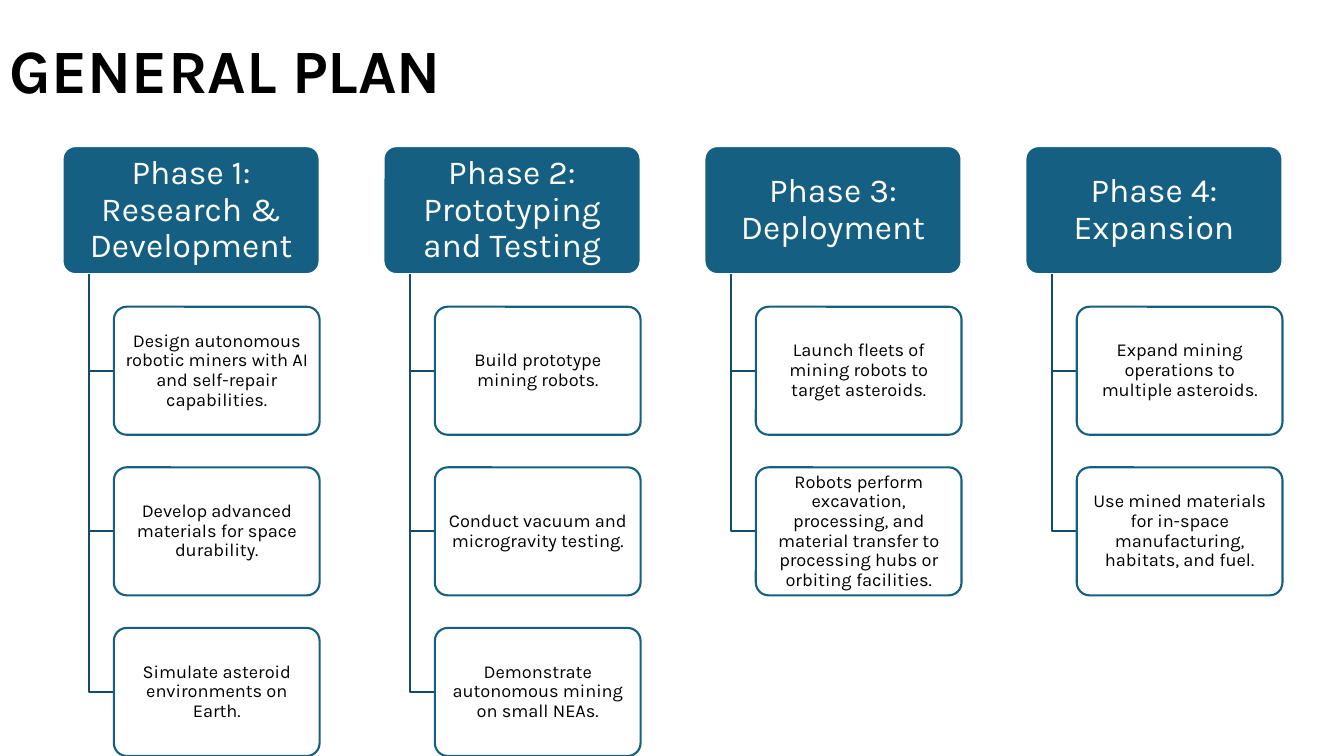
from dataclasses import dataclass

import pptx
import pptx.dml.color
import pptx.enum.shapes
import pptx.enum.text
import pptx.oxml
import pptx.oxml.ns
import pptx.util
from pptx.util import Inches


@dataclass(frozen=True)
class Theme:
    font: str = "Karla"
    title_size: float = 44
    phase_size: float = 24
    step_size: float = 13
    line_width: float = 1.5
    blue: str = "156082"
    dark_blue: str = "114D68"
    white: str = "FFFFFF"
    black: str = "000000"


@dataclass(frozen=True)
class Box:
    left: float
    top: float
    width: float
    height: float

    def lengths(self):
        return [Inches(value) for value in (self.left, self.top, self.width, self.height)]


THEME = Theme()
CARD_HEIGHT = 1.27
PHASE_WIDTH = 2.55
BRANCH_INDENT = 0.26
STEP_INDENT = 0.51

PHASES = [
    ("Phase 1: Research & Development", [
        "Design autonomous robotic miners with AI and self-repair capabilities.",
        "Develop advanced materials for space durability.",
        "Simulate asteroid environments on Earth.",
    ]),
    ("Phase 2: Prototyping and Testing", [
        "Build prototype mining robots.",
        "Conduct vacuum and microgravity testing.",
        "Demonstrate autonomous mining on small NEAs.",
    ]),
    ("Phase 3: Deployment", [
        "Launch fleets of mining robots to target asteroids.",
        "Robots perform excavation, processing, and material transfer to "
        "processing hubs or orbiting facilities.",
    ]),
    ("Phase 4: Expansion", [
        "Expand mining operations to multiple asteroids.",
        "Use mined materials for in-space manufacturing, habitats, and fuel.",
    ]),
]


def rgb(color):
    return pptx.dml.color.RGBColor.from_string(color)


def write_text(shape, text, size, color, alignment, insets, bold=False):
    frame = shape.text_frame
    frame.word_wrap = True
    frame.vertical_anchor = pptx.enum.text.MSO_ANCHOR.MIDDLE
    frame.margin_left = frame.margin_right = Inches(insets[0])
    frame.margin_top = frame.margin_bottom = Inches(insets[1])
    paragraph = frame.paragraphs[0]
    paragraph.alignment = alignment
    paragraph.line_spacing = 0.9
    run = paragraph.add_run()
    run.text = text
    run.font.name = THEME.font
    run.font.size = pptx.util.Pt(size)
    run.font.bold = bold
    run.font.color.rgb = rgb(color)


def set_line(shape, color):
    shape.shadow.inherit = False
    shape.line.color.rgb = rgb(color)
    shape.line.width = pptx.util.Pt(THEME.line_width)


def add_title(slide, box, text):
    shape = slide.shapes.add_textbox(*box.lengths())
    write_text(shape, text, THEME.title_size, THEME.black,
               pptx.enum.text.PP_ALIGN.LEFT, (0.1, 0.05), bold=True)


def add_card(slide, box, text, size, fill, line, text_color, insets):
    shape = slide.shapes.add_shape(
        pptx.enum.shapes.MSO_SHAPE.ROUNDED_RECTANGLE, *box.lengths())
    shape.adjustments[0] = 0.1
    shape.fill.solid()
    shape.fill.fore_color.rgb = rgb(fill)
    set_line(shape, line)
    write_text(shape, text, size, text_color,
               pptx.enum.text.PP_ALIGN.CENTER, insets)
    return shape


def add_branch(slide, box):
    left, top, width, height = box.lengths()
    builder = slide.shapes.build_freeform(left, top, scale=1.0)
    builder.add_line_segments(
        [(left, top + height), (left + width, top + height)], close=False)
    shape = builder.convert_to_shape()
    shape.fill.background()
    set_line(shape, THEME.dark_blue)


def add_step(slide, box, text):
    shape = add_card(slide, box, text, THEME.step_size, THEME.white,
                     THEME.blue, THEME.black, (0.07, 0.06))
    color = shape.fill._xPr.find(".//" + pptx.oxml.ns.qn("a:srgbClr"))
    color.append(pptx.oxml.parse_xml(
        f'<a:alpha {pptx.oxml.ns.nsdecls("a")} val="90000"/>'))


def add_phase(slide, box, heading, steps, row_pitch):
    add_card(slide, Box(box.left, box.top, box.width, CARD_HEIGHT), heading,
             THEME.phase_size, THEME.blue, THEME.white, THEME.white, (0.09, 0.07))
    branch_top = box.top + CARD_HEIGHT
    for row, text in enumerate(steps, start=1):
        step = Box(box.left + STEP_INDENT, box.top + row * row_pitch,
                   box.width - STEP_INDENT, CARD_HEIGHT)
        add_branch(slide, Box(box.left + BRANCH_INDENT, branch_top,
                              STEP_INDENT - BRANCH_INDENT,
                              step.top + CARD_HEIGHT / 2 - branch_top))
        add_step(slide, step, text)


def add_plan(slide, box, phases):
    column_pitch = (box.width - PHASE_WIDTH) / (len(phases) - 1)
    most_steps = max(len(steps) for heading, steps in phases)
    row_pitch = (box.height - CARD_HEIGHT) / most_steps
    for column, (heading, steps) in enumerate(phases):
        phase = Box(box.left + column * column_pitch, box.top, PHASE_WIDTH, box.height)
        add_phase(slide, phase, heading, steps, row_pitch)


def main():
    presentation = pptx.Presentation()
    presentation.slide_width = Inches(13.33)
    presentation.slide_height = Inches(7.5)
    slide = presentation.slides.add_slide(presentation.slide_layouts[6])
    add_title(slide, Box(0, 0, 11.5, 1.45), "GENERAL PLAN")
    add_plan(slide, Box(0.62, 1.45, 12.1, 6.05), PHASES)
    presentation.save("out.pptx")


if __name__ == "__main__":
    main()
